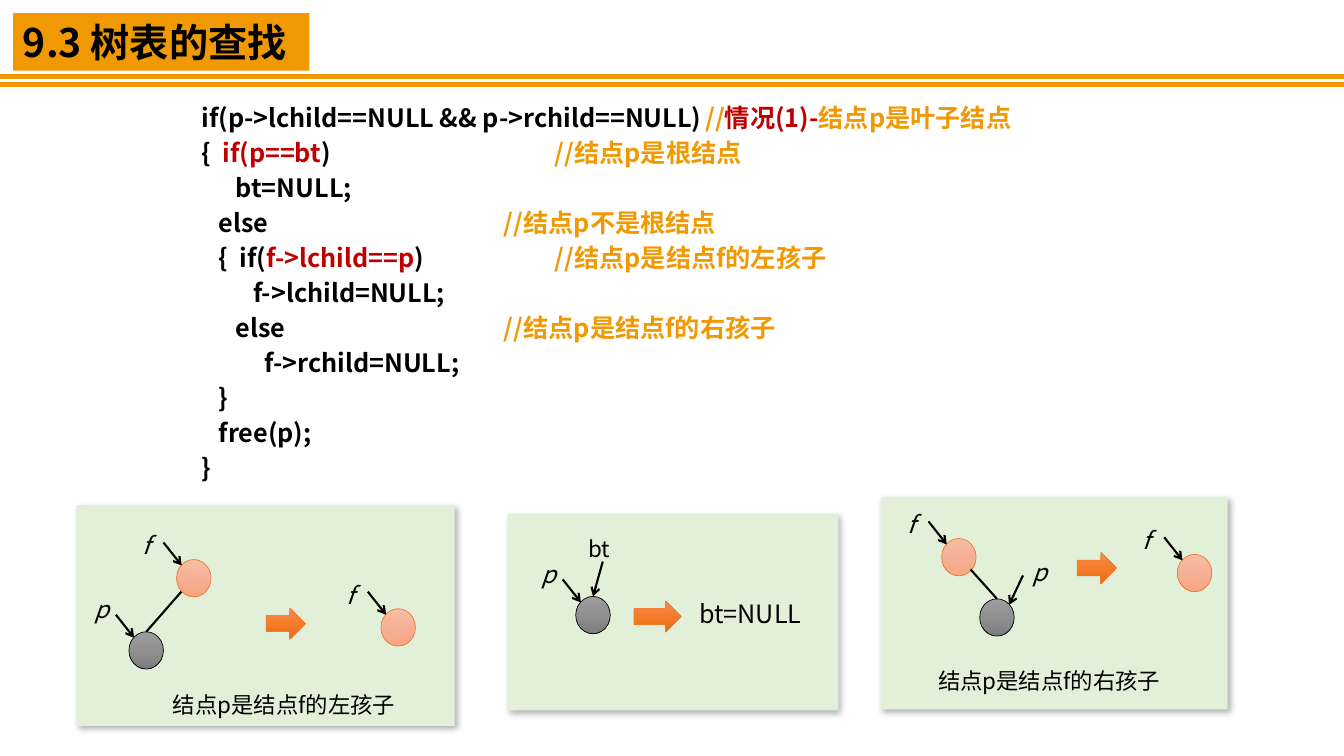
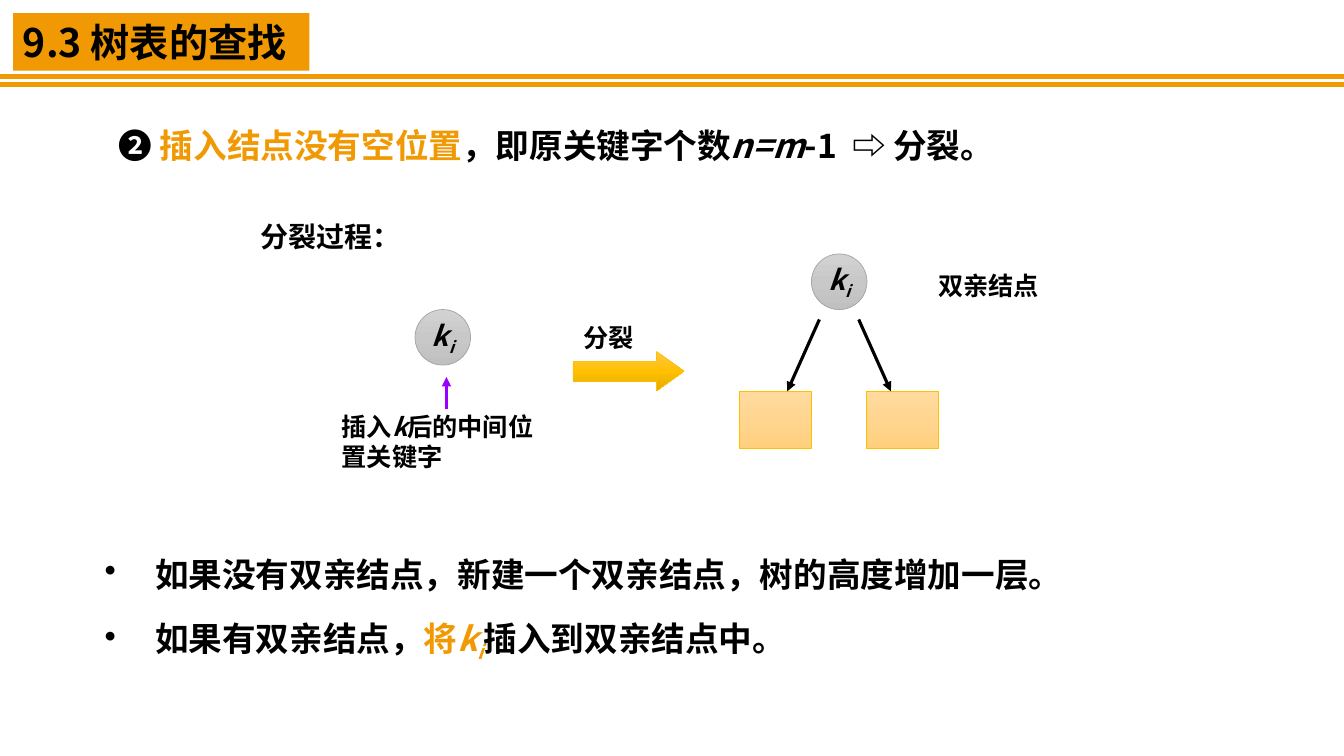
from copy import deepcopy
from lxml.etree import SubElement
from pptx import Presentation
from pptx.dml.color import RGBColor
from pptx.enum.shapes import MSO_CONNECTOR, MSO_SHAPE
from pptx.enum.text import MSO_ANCHOR, MSO_AUTO_SIZE, PP_ALIGN
from pptx.oxml.ns import qn
from pptx.util import Cm, Pt

FONT = "Noto Sans CJK SC"
BLACK = RGBColor(0x00, 0x00, 0x00)
ORANGE = RGBColor(0xF1, 0x99, 0x03)
RED = RGBColor(0xC0, 0x00, 0x00)
VIOLET = RGBColor(0x99, 0x00, 0xFF)
PALE_GREEN = RGBColor(0xE2, 0xF0, 0xD9)
RUST = RGBColor(0xED, 0x7D, 0x31)
MID_GRAY = RGBColor(0xA5, 0xA5, 0xA5)
GOLD = RGBColor(0xFF, 0xC0, 0x00)
DARK_SHADES = RGBColor(0x9D, 0x9D, 0x9D), RGBColor(0x90, 0x90, 0x90), RGBColor(0x7C, 0x7C, 0x7C)
SALMON_SHADES = RGBColor(0xF7, 0xBD, 0xA5), RGBColor(0xF5, 0xB1, 0x96), RGBColor(0xF8, 0xA5, 0x82)
RUST_SHADES = RGBColor(0xF1, 0x8C, 0x57), RGBColor(0xF6, 0x7B, 0x28), RGBColor(0xE5, 0x6C, 0x19)
GRAY_SHADES = RGBColor(0xD2, 0xD2, 0xD2), RGBColor(0xC8, 0xC8, 0xC8), RGBColor(0xC0, 0xC0, 0xC0)
SAND_SHADES = RGBColor(0xFF, 0xDB, 0x9E), RGBColor(0xFF, 0xD5, 0x90), RGBColor(0xFF, 0xD0, 0x7C)
GOLD_SHADES = RGBColor(0xFF, 0xC6, 0x4B), RGBColor(0xFF, 0xC0, 0x00), RGBColor(0xE3, 0xAB, 0x00)


def add_box(s, kind, x, y, w, h, fill=None, border=None, paras=(), size=18, bold=True):
    box = Cm(x), Cm(y), Cm(w), Cm(h)
    if kind is None:
        sp = s.shapes.add_textbox(*box)
    else:
        sp = s.shapes.add_shape(kind, *box)
        sp.shadow.inherit = False
        if isinstance(fill, RGBColor):
            sp.fill.solid()
            sp.fill.fore_color.rgb = fill
        else:
            sp.fill.gradient()
            sp.fill.gradient_angle = 270
            stops = sp.element.spPr.find(".//" + qn("a:gsLst"))
            stops.insert(1, deepcopy(stops[0]))
            for stop, position, shade in zip(sp.fill.gradient_stops, (0, 0.5, 1), fill):
                stop.position = position
                stop.color.rgb = shade
        if border is None:
            sp.line.fill.background()
        else:
            sp.line.color.rgb = border
            sp.line.width = Pt(0.5)
    if paras:
        tf = sp.text_frame
        tf.word_wrap = True
        tf.auto_size = MSO_AUTO_SIZE.SHAPE_TO_FIT_TEXT
        tf.vertical_anchor = MSO_ANCHOR.TOP
    for i, runs in enumerate(paras):
        p = tf.add_paragraph() if i else tf.paragraphs[0]
        p.alignment = PP_ALIGN.LEFT
        for text, color, style in runs:
            r = p.add_run()
            r.text = text
            r.font.name = FONT
            r.font.size = Pt(size)
            r.font.bold = bold
            r.font.italic = "i" in style
            r.font.color.rgb = color
            rPr = r._r.get_or_add_rPr()
            SubElement(rPr, qn("a:ea")).set("typeface", FONT)
            if "s" in style:
                rPr.set("baseline", "-25000")
    return sp


def add_line(s, x1, y1, x2, y2, color=BLACK, width=1.5, tail=None):
    c = s.shapes.add_connector(MSO_CONNECTOR.STRAIGHT, Cm(x1), Cm(y1), Cm(x2), Cm(y2))
    c.line.color.rgb = color
    c.line.width = Pt(width)
    spPr = c.element.spPr
    if tail:
        SubElement(spPr.find(qn("a:ln")), qn("a:tailEnd")).set("type", tail)
    SubElement(spPr, qn("a:effectLst"))
    return c


prs = Presentation()
prs.slide_width = Cm(33.87)
prs.slide_height = Cm(19.05)
blank = prs.slide_layouts[6]
s = prs.slides.add_slide(blank)

header = [add_box(s, MSO_SHAPE.RECTANGLE, 0.33, 0.33, 7.47, 1.45, ORANGE,
                  paras=[[("9.3 树表的查找", BLACK, "")]], size=28)]
for y in (1.93, 2.13):
    header.append(add_line(s, 0, y, 33.87, y, ORANGE, 3))
for sp in header:
    blank.shapes.element.append(sp.element)

code = [
    (12.7, [("if(p->lchild==NULL && p->rchild==NULL)\t", BLACK, ""), ("//", ORANGE, ""),
            ("情况(1)-", RED, ""), ("结点p是叶子结点", ORANGE, "")]),
    (8.9, [("{  ", BLACK, ""), ("if(p==bt", RED, ""), (")\t", BLACK, ""),
           ("//结点p是根结点", ORANGE, "")]),
    (0, [("      bt=NULL;", BLACK, "")]),
    (7.62, [("   else\t", BLACK, ""), ("//结点p不是根结点", ORANGE, "")]),
    (8.9, [("   {  if(", BLACK, ""), ("f->lchild==p", RED, ""), (")\t", BLACK, ""),
           ("//结点p是结点f的左孩子", ORANGE, "")]),
    (0, [("         f->lchild=NULL;", BLACK, "")]),
    (7.62, [("      else\t", BLACK, ""), ("//结点p是结点f的右孩子", ORANGE, "")]),
    (0, [("           f->rchild=NULL;", BLACK, "")]),
    (0, [("   }", BLACK, "")]),
    (0, [("   free(p);", BLACK, "")]),
    (0, [("}", BLACK, "")]),
]
sp = add_box(s, None, 4.83, 2.34, 24.4, 10.06, paras=[runs for tab, runs in code])
for p, (tab, runs) in zip(sp.text_frame.paragraphs, code):
    if tab:
        tabs = SubElement(p._p.get_or_add_pPr(), qn("a:tabLst"))
        stop = SubElement(tabs, qn("a:tab"))
        stop.set("pos", str(Cm(tab)))
        stop.set("algn", "l")
    p.line_spacing = Pt(25)

for x, y, w, h in [(1.93, 12.73, 9.53, 5.56), (12.8, 12.95, 8.33, 4.95), (22.2, 12.52, 8.74, 5.36)]:
    sp = add_box(s, MSO_SHAPE.RECTANGLE, x, y, w, h, PALE_GREEN)
    shadow = SubElement(sp.element.spPr.find(qn("a:effectLst")), qn("a:outerShdw"))
    for key, value in [("blurRad", Pt(4.5)), ("dist", Pt(2.6)), ("dir", 53 * 60000)]:
        shadow.set(key, str(value))
    shadow.set("algn", "tl")
    shadow.set("rotWithShape", "0")
    tint = SubElement(shadow, qn("a:srgbClr"))
    tint.set("val", str(BLACK))
    SubElement(tint, qn("a:alpha")).set("val", "30000")

pointers = [("f", 3.33, 13.26), ("p", 2.13, 14.86), ("f", 8.48, 14.5),
            ("p", 13.39, 13.97), ("f", 22.61, 12.73), ("f", 28.55, 13.13)]
nodes = []
for name, x, y in pointers:
    drop = 0.22 if name == "p" else 0
    shades, border = (DARK_SHADES, BLACK) if name == "p" else (SALMON_SHADES, RUST)
    add_box(s, None, x, y, 0.79, 0.99, paras=[[(name, BLACK, "i")]], size=17, bold=False)
    nodes.append(add_box(s, MSO_SHAPE.OVAL, x + 1.12, y + 0.84 + drop, 0.87, 0.94, shades, border))
    add_line(s, x + 0.79, y + 0.41 + drop, x + 1.25, y + 0.99 + drop, tail="arrow")

right_child = add_box(s, MSO_SHAPE.OVAL, 24.69, 15.09, 0.87, 0.94, DARK_SHADES, BLACK)
add_box(s, None, 25.78, 13.92, 1.4, 0.99, paras=[[("p", BLACK, "i")]], size=17, bold=False)
add_line(s, 25.78, 14.5, 25.43, 15.24, tail="arrow")

for x, y, node, tail in [(4.57, 14.91, nodes[1], None), (15.19, 14.15, nodes[3], "arrow"),
                         (24.46, 14.35, right_child, None)]:
    c = add_line(s, x, y, x, y, tail=tail)
    c.end_connect(node, 0)

for x, y, w in [(6.71, 15.32, 0.99), (15.98, 15.14, 1.19), (27.15, 13.92, 0.99)]:
    add_box(s, MSO_SHAPE.RIGHT_ARROW, x, y, w, 0.79, RUST_SHADES, RUST)

for text, x, y, w, h, size in [("结点p是结点f的左孩子", 4.11, 17.3, 6.8, 0.94, 16),
                               ("结点p是结点f的右孩子", 23.39, 16.69, 6.8, 0.94, 16),
                               ("bt", 14.58, 13.36, 1.98, 0.94, 16),
                               ("bt=NULL", 17.37, 14.96, 3.96, 1.02, 18)]:
    add_box(s, None, x, y, w, h, paras=[[(text, BLACK, "")]], size=size, bold=False)

s = prs.slides.add_slide(blank)
add_box(s, None, 2.74, 3.02, 25.43, 1.27, size=24, paras=[[
    ("❷ ", BLACK, ""), ("插入结点没有空位置", ORANGE, ""), ("，即原关键字个数", BLACK, ""),
    ("n=m", BLACK, "i"), ("-1  ⇨ 分裂。", BLACK, "")]])

for x, y in [(10.46, 7.8), (20.45, 6.4)]:
    sp = add_box(s, MSO_SHAPE.OVAL, x, y, 1.4, 1.4, GRAY_SHADES, MID_GRAY,
                 [[("k", BLACK, "i"), ("i", BLACK, "is")]], 20)
    tf = sp.text_frame
    tf.word_wrap = False
    tf.auto_size = MSO_AUTO_SIZE.NONE
    tf.vertical_anchor = MSO_ANCHOR.MIDDLE
    tf.paragraphs[0].alignment = PP_ALIGN.CENTER

for x in (18.64, 21.84):
    add_box(s, MSO_SHAPE.RECTANGLE, x, 9.86, 1.8, 1.45, SAND_SHADES, GOLD)
for x1, x2 in [(20.65, 19.84), (21.64, 22.45)]:
    add_line(s, x1, 8.05, x2, 9.86, width=2.25, tail="triangle")
add_line(s, 11.25, 10.31, 11.25, 9.5, VIOLET, 2.25, "triangle")
sp = add_box(s, MSO_SHAPE.RIGHT_ARROW, 14.45, 8.86, 2.79, 0.99, GOLD_SHADES, GOLD)
sp.adjustments[1] = 0.7

add_box(s, None, 8.36, 10.24, 5.79, 1.8, paras=[[
    ("插入", BLACK, ""), ("k", BLACK, "i"), ("后的中间位置关键字", BLACK, "")]])
for text, x, y, w, h, size in [("分裂过程：", 6.32, 5.41, 5.56, 1.12, 20),
                               ("分裂", 14.45, 8, 2.18, 1.02, 18),
                               ("双亲结点", 23.39, 6.68, 3.38, 1.02, 18)]:
    add_box(s, None, x, y, w, h, paras=[[(text, BLACK, "")]], size=size)

sp = add_box(s, None, 2.13, 13.16, 27.61, 3.68, size=24, paras=[
    [("如果没有双亲结点，新建一个双亲结点，树的高度增加一层。", BLACK, "")],
    [("如果有双亲结点，", BLACK, ""), ("将", ORANGE, ""), ("k", ORANGE, "i"),
     ("i", ORANGE, "is"), ("插入到双亲结点中。", BLACK, "")]])
tf = sp.text_frame
tf.margin_left = Cm(0.51)
tf.margin_top = tf.margin_bottom = Cm(0.3)
for p in tf.paragraphs:
    pPr = p._p.get_or_add_pPr()
    pPr.set("marL", str(Cm(1.27)))
    pPr.set("indent", str(-Cm(1.27)))
    SubElement(pPr, qn("a:buChar")).set("char", "•")
    p.line_spacing = 1.5

prs.save("out.pptx")
